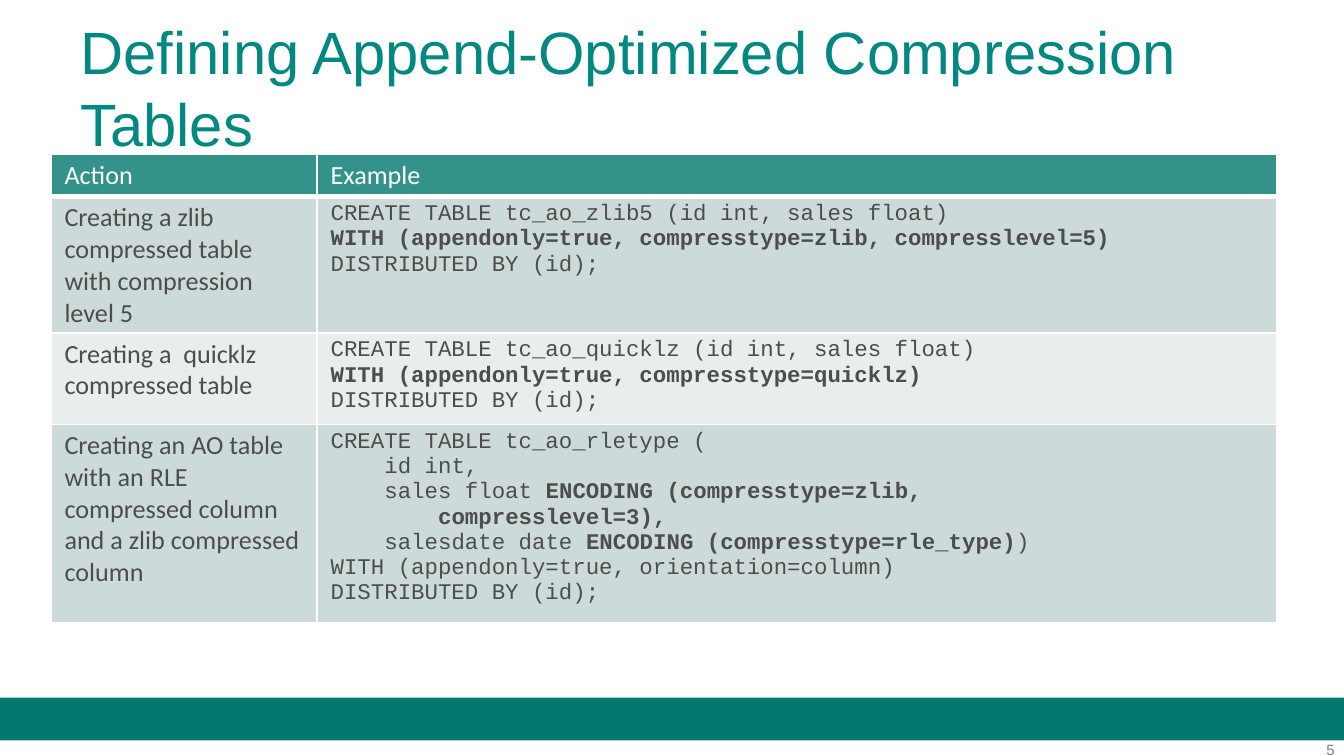
import pptx
import pptx.dml.color
import pptx.enum.shapes
import pptx.enum.text
import pptx.oxml
import pptx.oxml.ns
import pptx.util

Inches = pptx.util.Inches
Pt = pptx.util.Pt
RGB = pptx.dml.color.RGBColor
HUES = {
    "bar": "00786E", "title": "008881", "number": "7F7F7F", "head": "33928A",
    "dark": "CCDBD9", "light": "E7EEED", "text": "4D4D4D", "white": "FFFFFF",
}
# Each string is a paragraph: asterisks enclose bold code, a newline is a
# line break and each leading tab is one indent level.
ROWS = [
    ("Action", ["Example"]),
    ("Creating a zlib compressed table with compression level 5", [
        "CREATE TABLE tc_ao_zlib5 (id int, sales float) \n"
        "*WITH (appendonly=true, compresstype=zlib, compresslevel=5) \n*"
        "DISTRIBUTED BY (id);"]),
    ("Creating a  quicklz compressed table", [
        "CREATE TABLE tc_ao_quicklz (id int, sales float) \n"
        "*WITH (appendonly=true, compresstype=quicklz) \n*"
        "DISTRIBUTED BY (id);"]),
    ("Creating an AO table with an RLE compressed column "
     "and a zlib compressed column", [
         "CREATE TABLE tc_ao_rletype (",
         "\tid int,",
         "\tsales float *ENCODING (compresstype=zlib,*",
         "\t\t*compresslevel=3),*",
         "\tsalesdate date *ENCODING (compresstype=rle_type)*)",
         "WITH (appendonly=true, orientation=column)\nDISTRIBUTED BY (id);"]),
]
FILLS = ["head", "dark", "light", "dark"]
WIDTHS = [1.98, 7.14]


def write(par, text, face, size, hue):
    """Fill a paragraph, turning tabs into indents and asterisks into bold."""
    body = text.lstrip("\t")
    depth = len(text) - len(body)
    if depth:
        props = par._p.get_or_add_pPr()
        props.set("marL", str(Inches(0.4 * depth)))
        props.set("indent", "0")
    for k, part in enumerate(body.split("*")):
        for n, line in enumerate(part.split("\n")):
            if n:
                par.add_line_break()
                par._p[-1].append(pptx.oxml.parse_xml(
                    f'<a:rPr {pptx.oxml.ns.nsdecls("a")} sz="{size * 100}">'
                    f'<a:latin typeface="{face}"/></a:rPr>'))
            if line:
                run = par.add_run()
                run.text = line
                run.font.bold = k % 2 == 1
    par.font.name = face
    par.font.size = Pt(size)
    par.font.color.rgb = RGB.from_string(HUES[hue])


def edge(cell, side, width):
    line = pptx.oxml.parse_xml(
        f'<a:{side} {pptx.oxml.ns.nsdecls("a")} w="{Pt(width)}"><a:solidFill>'
        f'<a:srgbClr val="{HUES["white"]}"/></a:solidFill></a:{side}>')
    props = cell._tc.get_or_add_tcPr()
    props.insert(["lnL", "lnR", "lnT", "lnB"].index(side), line)


deck = pptx.Presentation()
deck.slide_width = Inches(10)
deck.slide_height = Inches(10) * 9 // 16
slide = deck.slides.add_slide(deck.slide_layouts[6])
shapes = slide.shapes

bar = shapes.add_shape(pptx.enum.shapes.MSO_SHAPE.RECTANGLE,
                       Inches(0), Inches(5.19), Inches(10), Inches(0.32))
bar.shadow.inherit = False
bar.fill.solid()
bar.fill.fore_color.rgb = RGB.from_string(HUES["bar"])
bar.line.fill.background()

title = shapes.add_textbox(Inches(0.5), Inches(0.06), Inches(9), Inches(0.94))
title.text_frame.word_wrap = True
write(title.text_frame.paragraphs[0],
      "Defining Append-Optimized Compression Tables", "Arial", 32, "title")

number = shapes.add_textbox(Inches(9.35), Inches(5.51), Inches(0.58), Inches(0.1))
frame = number.text_frame
frame.word_wrap = True
frame.margin_left = frame.margin_right = frame.margin_top = frame.margin_bottom = 0
frame.paragraphs[0].alignment = pptx.enum.text.PP_ALIGN.RIGHT
write(frame.paragraphs[0], "5", "Arial", 8, "number")

grid = shapes.add_table(len(ROWS), 2, Inches(0.38), Inches(1.15),
                        Inches(sum(WIDTHS)), Inches(3.28))
table = grid.table
for col, width in zip(table.columns, WIDTHS):
    col.width = Inches(width)
for r, (action, code) in enumerate(ROWS):
    table.rows[r].height = Inches(0.3)
    for c, texts in enumerate([[action], code]):
        cell = table.cell(r, c)
        cell.margin_left = cell.margin_right = Inches(0.1)
        cell.margin_top = cell.margin_bottom = Inches(0.04)
        cell.fill.solid()
        cell.fill.fore_color.rgb = RGB.from_string(HUES[FILLS[r]])
        for side in ["lnL", "lnR", "lnT", "lnB"]:
            joint = (r, side) in [(0, "lnB"), (1, "lnT")]
            edge(cell, side, 3 if joint else 1)
        face, size = ("Courier New", 12) if r and c else ("Calibri", 14)
        frame = cell.text_frame
        for k, text in enumerate(texts):
            par = frame.add_paragraph() if k else frame.paragraphs[0]
            write(par, text, face, size, "text" if r else "white")
grid.height = Inches(3.28)

deck.save("out.pptx")
